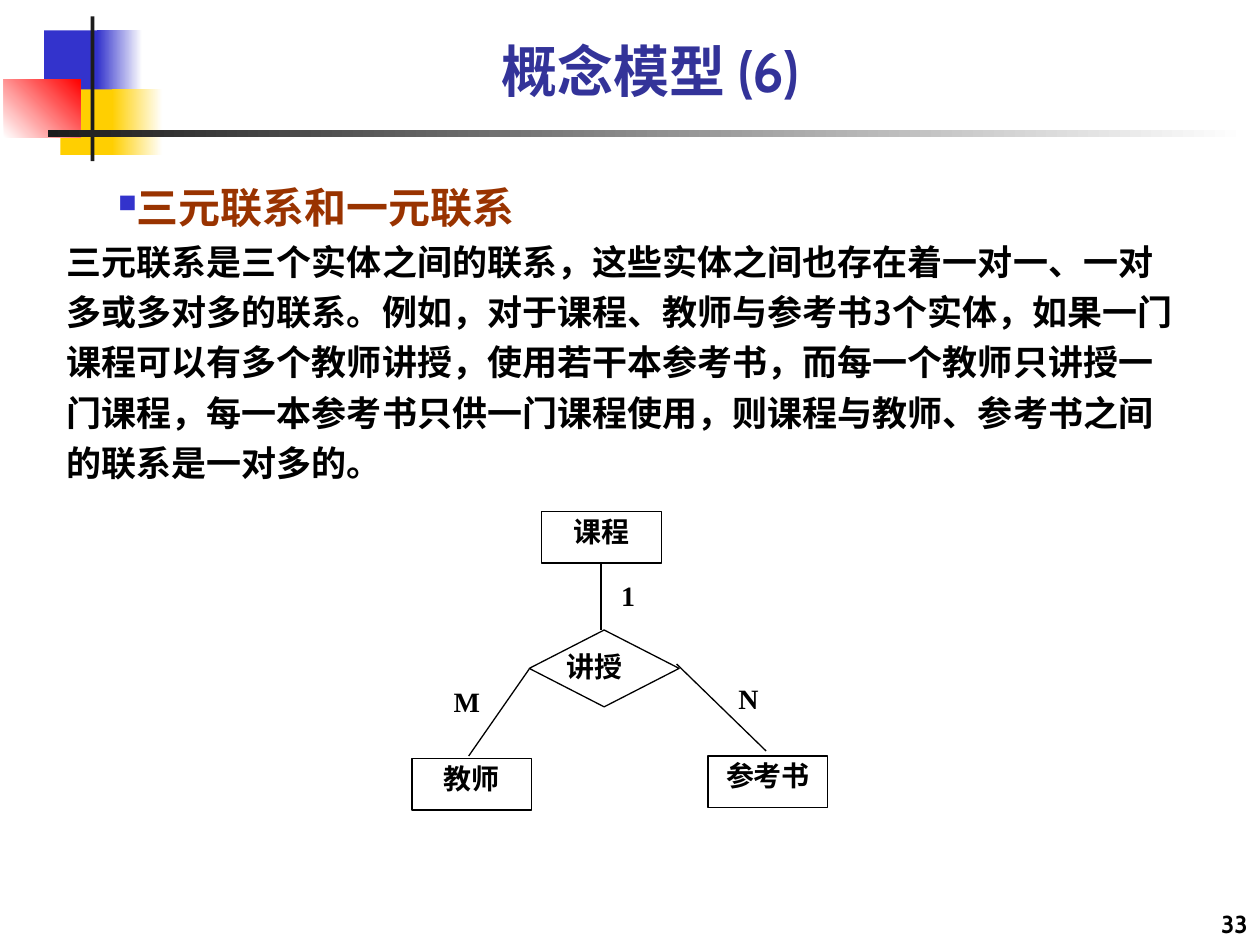
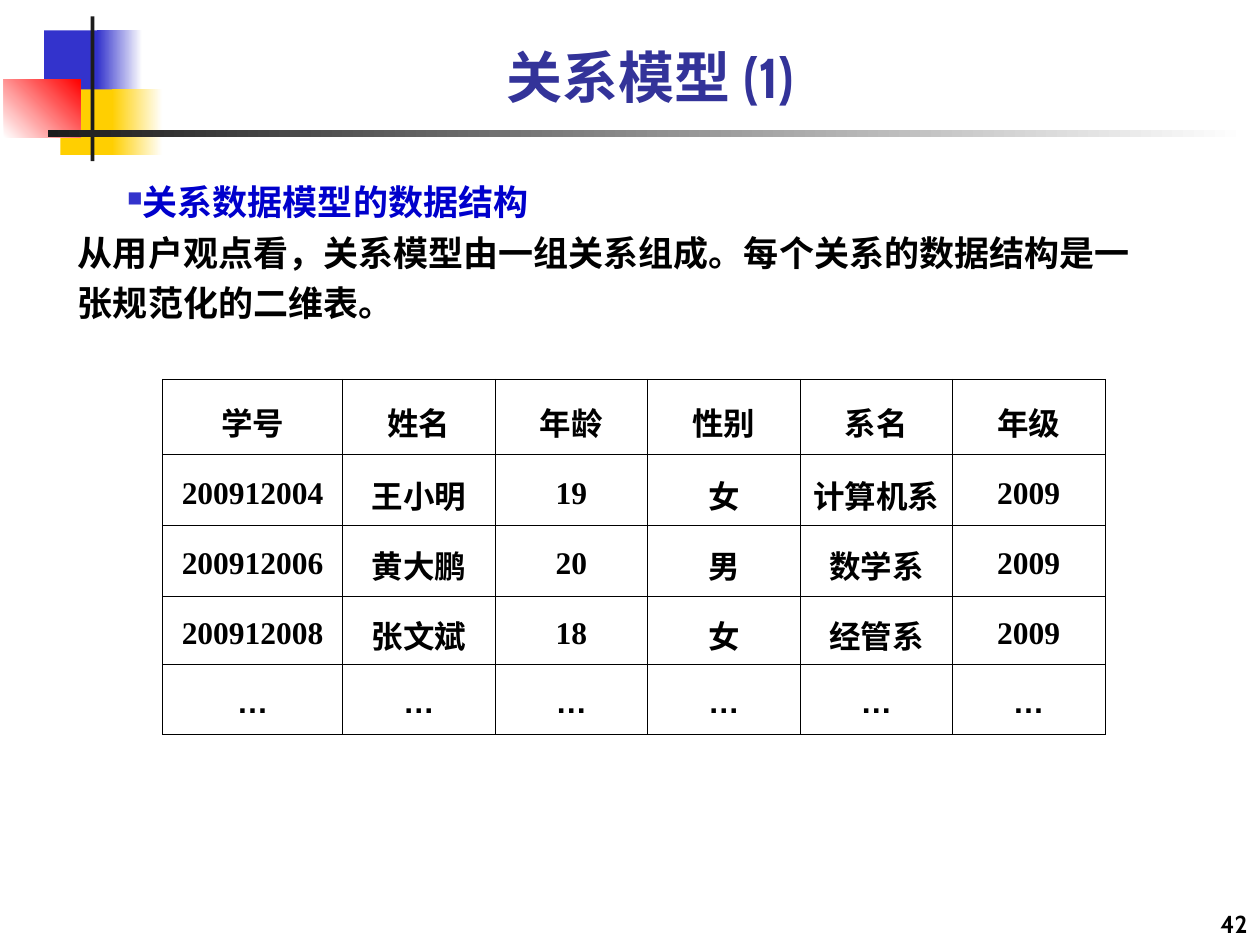
from lxml import etree
from pptx import Presentation
from pptx.dml.color import RGBColor
from pptx.enum.shapes import MSO_CONNECTOR, MSO_SHAPE
from pptx.enum.text import MSO_ANCHOR, PP_ALIGN
from pptx.oxml.ns import qn
from pptx.util import Inches, Pt

RECT, DIAMOND = MSO_SHAPE.RECTANGLE, MSO_SHAPE.DIAMOND
STRAIGHT = MSO_CONNECTOR.STRAIGHT
TOP, MIDDLE, BOTTOM = MSO_ANCHOR.TOP, MSO_ANCHOR.MIDDLE, MSO_ANCHOR.BOTTOM
LEFT, CENTER, RIGHT = PP_ALIGN.LEFT, PP_ALIGN.CENTER, PP_ALIGN.RIGHT
JUSTIFY = PP_ALIGN.JUSTIFY

BLACK = RGBColor(0x00, 0x00, 0x00)
WHITE = RGBColor(0xFF, 0xFF, 0xFF)
CHARCOAL = RGBColor(0x1C, 0x1C, 0x1C)
BLUE = RGBColor(0x33, 0x33, 0xCC)
YELLOW = RGBColor(0xFF, 0xCF, 0x01)
RED = RGBColor(0xFF, 0x00, 0x00)
TITLE_BLUE = RGBColor(0x33, 0x33, 0x99)
BROWN = RGBColor(0x99, 0x33, 0x00)
HEADING_BLUE = RGBColor(0x00, 0x00, 0xCC)

SANS, SERIF, ELLIPSIS_FONT = "Cabin", "Times New Roman", "Arial"
FRAME_INSETS = (0.1, 0.05, 0.1, 0.05)
NO_INSETS = (0, 0, 0, 0)

# Left, top, width, height, colours from start to end, gradient angle
EMBLEM = [
    (0.35, 0.24, 0.48, 0.52, [BLUE], 0),
    (0.77, 0.24, 0.36, 0.52, [BLUE, WHITE], 0),
    (0.48, 0.71, 0.46, 0.52, [YELLOW], 0),
    (0.89, 0.71, 0.40, 0.52, [YELLOW, WHITE], 0),
    (0.03, 0.63, 0.61, 0.46, [WHITE, RED], 45),
    (0.72, 0.13, 0.03, 1.15, [CHARCOAL], 0),
    (0.38, 1.03, 9.51, 0.06, [CHARCOAL, WHITE], 0),
]


class Deck:
    """Holds the shared style and the slide being built."""

    def __init__(self):
        self.prs = Presentation()
        self.prs.slide_width, self.prs.slide_height = Inches(10), Inches(7.5)
        self.slide = None

    def start_slide(self, title, title_top, number):
        self.slide = self.prs.slides.add_slide(self.prs.slide_layouts[5])
        for left, top, width, height, colors, angle in EMBLEM:
            block = self.shape(RECT, left, top, width, height)
            block.line.fill.background()
            self.paint(block.fill, colors, angle)
        heading = self.slide.shapes.title
        heading.left, heading.top = Inches(0.9), Inches(title_top)
        heading.width, heading.height = Inches(8.52), Inches(0.87)
        self.frame(heading.text_frame, FRAME_INSETS, BOTTOM)
        self.add_text(heading.text_frame.paragraphs[0], title, 32, TITLE_BLUE, align=CENTER)
        self.label(number, 7.92, 7, 2.08, 0.5, 14, SANS, RIGHT, FRAME_INSETS, BOTTOM)

    def paint(self, fill, colors, angle):
        """Fill solid for one colour, as a gradient for two."""
        if len(colors) == 1:
            fill.solid()
            fill.fore_color.rgb = colors[0]
            return
        fill.gradient()
        fill.gradient_angle = angle
        for stop, color in zip(fill.gradient_stops, colors):
            stop.color.rgb = color

    def frame(self, frame, insets, anchor):
        frame.word_wrap = True
        frame.vertical_anchor = anchor
        (frame.margin_left, frame.margin_top,
         frame.margin_right, frame.margin_bottom) = map(Inches, insets)

    def add_text(self, paragraph, text, size, color=BLACK, font=SANS, align=LEFT, spacing=1):
        paragraph.alignment = align
        paragraph.line_spacing = spacing
        paragraph.space_before = Pt(0)
        run = paragraph.add_run()
        run.text = text
        run.font.size, run.font.bold, run.font.name = Pt(size), True, font
        run.font.color.rgb = color
        run._r.get_or_add_rPr().set("lang", "zh-CN")

    def shape(self, kind, left, top, width, height):
        shape = self.slide.shapes.add_shape(
            kind, Inches(left), Inches(top), Inches(width), Inches(height))
        shape.shadow.inherit = False
        return shape

    def label(self, text, left, top, width=0.24, height=0.43, size=16, font=SERIF,
              align=JUSTIFY, insets=NO_INSETS, anchor=TOP):
        box = self.slide.shapes.add_textbox(
            Inches(left), Inches(top), Inches(width), Inches(height))
        self.frame(box.text_frame, insets, anchor)
        self.add_text(box.text_frame.paragraphs[0], text, size, BLACK, font, align)

    def body(self, left, top, width, height, heading, size, color, indent, text):
        """A bulleted heading with a plain paragraph under it."""
        box = self.slide.shapes.add_textbox(
            Inches(left), Inches(top), Inches(width), Inches(height))
        self.frame(box.text_frame, FRAME_INSETS, TOP)
        first = box.text_frame.paragraphs[0]
        self.bullet(first, indent)
        self.add_text(first, heading, size, color, spacing=1.2)
        self.add_text(box.text_frame.add_paragraph(), text, 20, spacing=1.2)

    def bullet(self, paragraph, indent):
        props = paragraph._p.get_or_add_pPr()
        props.set("marL", "0")
        props.set("indent", str(Inches(indent)))
        color = etree.SubElement(props, qn("a:buClr"))
        etree.SubElement(color, qn("a:srgbClr"), val=str(BLUE))
        etree.SubElement(props, qn("a:buSzPct"), val="60000")
        etree.SubElement(props, qn("a:buChar"), char="■")

    def node(self, kind, text, left, top, width, height, insets, align):
        node = self.shape(kind, left, top, width, height)
        node.fill.solid()
        node.fill.fore_color.rgb = WHITE
        node.line.color.rgb, node.line.width = BLACK, Pt(0.75)
        self.frame(node.text_frame, insets, TOP)
        self.add_text(node.text_frame.paragraphs[0], text, 16, BLACK, SERIF, align)

    def entity(self, text, left, top):
        self.node(RECT, text, left, top, 0.95, 0.41, (0, 0.02, 0, 0), CENTER)

    def relationship(self, text, left, top):
        self.node(DIAMOND, text, left, top, 1.19, 0.61, NO_INSETS, JUSTIFY)

    def link(self, *ends):
        link = self.slide.shapes.add_connector(STRAIGHT, *map(Inches, ends))
        link.line.color.rgb, link.line.width = BLACK, Pt(0.75)
        etree.SubElement(link._element.spPr, qn("a:effectLst"))

    def table(self, rows, left, top, widths, heights):
        table = self.slide.shapes.add_table(
            len(rows), len(widths), Inches(left), Inches(top),
            Inches(sum(widths)), Inches(sum(heights))).table
        table.first_row = table.horz_banding = False
        for column, width in zip(table.columns, widths):
            column.width = Inches(width)
        for row, height, values in zip(table.rows, heights, rows):
            row.height = Inches(height)
            for cell, value in zip(row.cells, values):
                font = ELLIPSIS_FONT if value == "…" else SERIF
                cell.vertical_anchor = MIDDLE
                self.add_text(cell.text_frame.paragraphs[0], value, 18, BLACK, font, CENTER, 1.2)
                self.borders(cell)
                cell.fill.background()

    def borders(self, cell):
        props = cell._tc.get_or_add_tcPr()
        for side in ("a:lnL", "a:lnR", "a:lnT", "a:lnB"):
            edge = etree.SubElement(props, qn(side), w=str(Pt(0.45)))
            fill = etree.SubElement(edge, qn("a:solidFill"))
            etree.SubElement(fill, qn("a:srgbClr"), val=str(BLACK))


def add_ternary_relationship(deck):
    deck.start_slide("概念模型 (6)", 0, "33")
    deck.body(0.43, 1.31, 9.06, 5.2, "三元联系和一元联系", 24, BROWN, 0.41,
              "三元联系是三个实体之间的联系，这些实体之间也存在着一对一、一对多或多对多的联系。"
              "例如，对于课程、教师与参考书3个实体，如果一门课程可以有多个教师讲授，"
              "使用若干本参考书，而每一个教师只讲授一门课程，每一本参考书只供一门课程使用，"
              "则课程与教师、参考书之间的联系是一对多的。")
    for name, left, top in [("课程", 4.3, 4.06), ("教师", 3.27, 6.02), ("参考书", 5.62, 6)]:
        deck.entity(name, left, top)
    deck.relationship("讲授", 4.2, 5)
    for ends in [(4.77, 4.48, 4.77, 5), (4.2, 5.31, 3.72, 6), (5.37, 5.27, 6.08, 5.96)]:
        deck.link(*ends)
    for cardinality, left, top in [("1", 4.93, 4.59), ("M", 3.6, 5.43), ("N", 5.86, 5.41)]:
        deck.label(cardinality, left, top)


def add_relational_model(deck):
    deck.start_slide("关系模型 (1)", 0.05, "42")
    deck.body(0.52, 1.32, 8.65, 1.53, "关系数据模型的数据结构", 20, HEADING_BLUE, 0.39,
              "从用户观点看，关系模型由一组关系组成。每个关系的数据结构是一张规范化的二维表。")
    students = [
        ["学号", "姓名", "年龄", "性别", "系名", "年级"],
        ["200912004", "王小明", "19", "女", "计算机系", "2009"],
        ["200912006", "黄大鹏", "20", "男", "数学系", "2009"],
        ["200912008", "张文斌", "18", "女", "经管系", "2009"],
        ["…"] * 6,
    ]
    deck.table(students, 1.29, 3.01, [1.43] + [1.21] * 5, [0.6, 0.56, 0.56, 0.54, 0.56])


def main():
    deck = Deck()
    add_ternary_relationship(deck)
    add_relational_model(deck)
    deck.prs.save("out.pptx")


if __name__ == "__main__":
    main()
